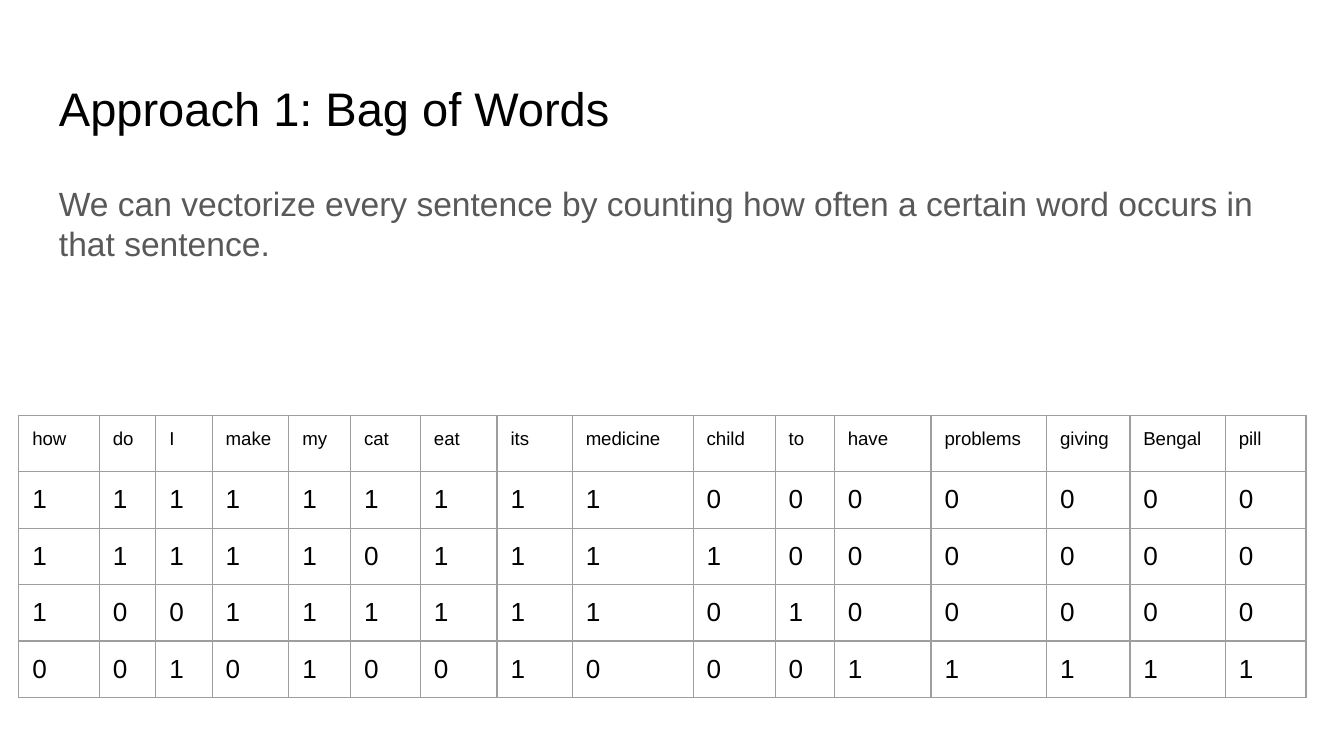
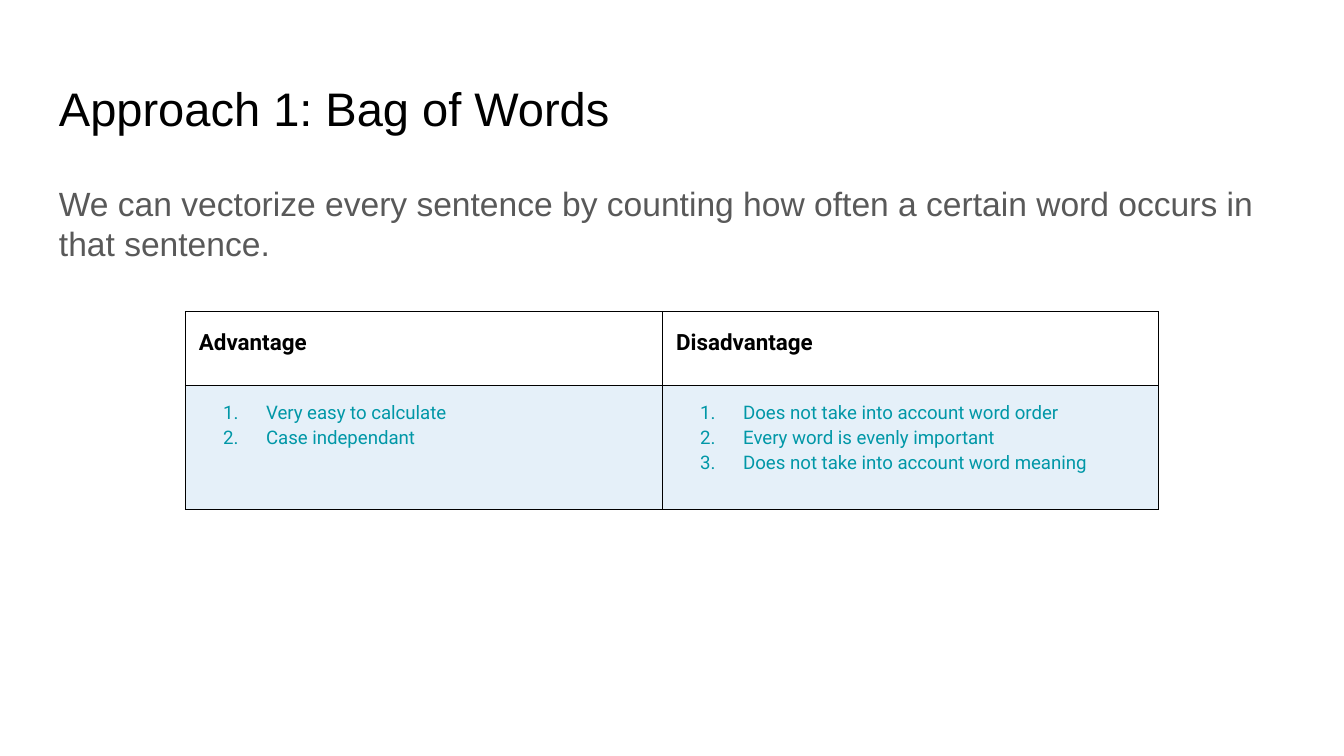
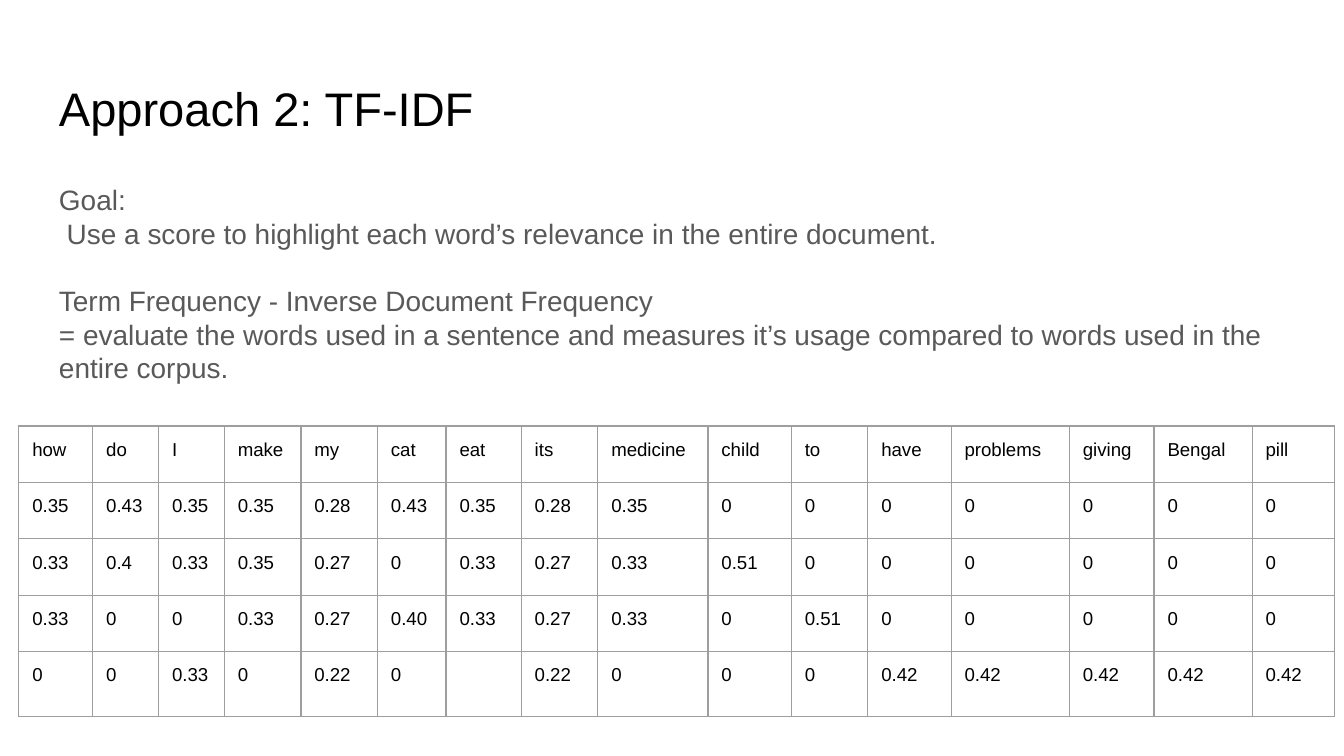
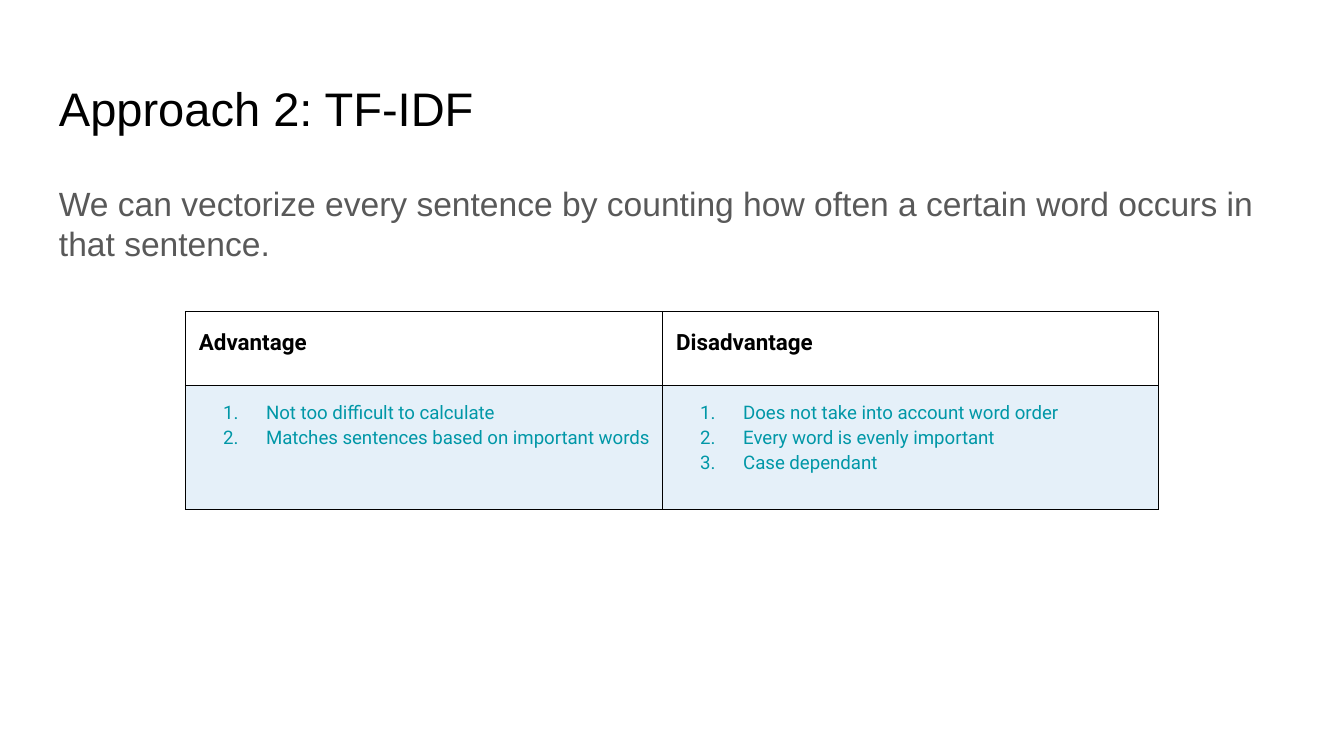
import pptx
import pptx.util
import pptx.dml.color
import pptx.enum.text
import pptx.oxml
import pptx.oxml.ns

Inches, Pt = pptx.util.Inches, pptx.util.Pt
ANCHOR = pptx.enum.text.MSO_ANCHOR

WIDE = 10
HIGH = WIDE * 9 / 16
EDGE = 0.34
PAD = 0.1
COLORS = {"ink": "000000", "body": "595959", "grid": "9E9E9E",
          "list": "0097A7", "panel": "E5F0F9"}

BAG = "Approach 1: Bag of Words"
SCORE = "Approach 2: TF-IDF"
COUNT = ["We can vectorize every sentence by counting how often "
         "a certain word occurs in that sentence."]
GOAL = ["Goal:",
        " Use a score to highlight each word’s relevance in the entire document.",
        "Term Frequency - Inverse Document Frequency",
        "= evaluate the words used in a sentence and measures it’s usage "
        "compared to words used in the entire corpus."]
WORDS = ("how,do,I,make,my,cat,eat,its,medicine,child,to,have,"
         "problems,giving,Bengal,pill")

SLIDES = [
    {"title": BAG, "body": COUNT, "size": 18,
     "words": {
         "top": 3.09, "size": 14, "heights": [0.42] * 5,
         "cols": [0.6, 0.42, 0.42, 0.57, 0.46, 0.52, 0.57, 0.56,
                  0.9, 0.61, 0.44, 0.72, 0.86, 0.62, 0.71, 0.6],
         "rows": ["1,1,1,1,1,1,1,1,1,0,0,0,0,0,0,0",
                  "1,1,1,1,1,0,1,1,1,1,0,0,0,0,0,0",
                  "1,0,0,1,1,1,1,1,1,0,1,0,0,0,0,0",
                  "0,0,1,0,1,0,0,1,0,0,0,1,1,1,1,1"]}},
    {"title": BAG, "body": COUNT, "size": 18,
     "views": [["Very easy to calculate", "Case independant"],
               ["Does not take into account word order",
                "Every word is evenly important",
                "Does not take into account word meaning"]]},
    {"title": SCORE, "body": GOAL, "size": 15, "gap": 2,
     "words": {
         "top": 3.17, "size": 10, "heights": [0.42] * 4 + [0.48],
         "cols": [0.55, 0.49, 0.49, 0.57, 0.57, 0.51, 0.56, 0.57,
                  0.82, 0.62, 0.57, 0.62, 0.88, 0.63, 0.73, 0.61],
         "rows": ["0.35,0.43,0.35,0.35,0.28,0.43,0.35,0.28,0.35,0,0,0,0,0,0,0",
                  "0.33,0.4,0.33,0.35,0.27,0,0.33,0.27,0.33,0.51,0,0,0,0,0,0",
                  "0.33,0,0,0.33,0.27,0.40,0.33,0.27,0.33,0,0.51,0,0,0,0,0",
                  "0,0,0.33,0,0.22,0,,0.22,0,0,0,0.42,0.42,0.42,0.42,0.42"]}},
    {"title": SCORE, "body": COUNT, "size": 18,
     "views": [["Not too difficult to calculate",
                "Matches sentences based on important words"],
               ["Does not take into account word order",
                "Every word is evenly important",
                "Case dependant"]]},
]


def rgb(name):
    return pptx.dml.color.RGBColor.from_string(COLORS[name])


def node(xml):
    """Parse one element, declaring its namespace at the first space."""
    return pptx.oxml.parse_xml(xml.replace(
        " ", f" {pptx.oxml.ns.nsdecls('a')} ", 1))


def style(para, size, color, font="Arial", bold=False):
    for run in para.runs:
        run.font.size, run.font.name, run.font.bold = Pt(size), font, bold
        run.font.color.rgb = rgb(color)


def add_text(slide, top, height, lines, size, color):
    box = slide.shapes.add_textbox(
        Inches(EDGE), Inches(top), Inches(WIDE - 2 * EDGE), Inches(height))
    frame = box.text_frame
    frame.word_wrap = True
    frame.margin_left = frame.margin_right = Inches(PAD)
    frame.margin_top = frame.margin_bottom = Inches(PAD)
    frame.text = "\n".join(lines)
    for para in frame.paragraphs:
        style(para, size, color)
    return frame


def add_grid(slide, left, top, cols, heights, line):
    """Add an unfilled table with padded cells and thin borders."""
    table = slide.shapes.add_table(
        len(heights), len(cols), Inches(left), Inches(top),
        Inches(sum(cols)), Inches(sum(heights))).table
    table.first_row = table.horz_banding = False
    for col, width in zip(table.columns, cols):
        col.width = Inches(width)
    for row, height in zip(table.rows, heights):
        row.height = Inches(height)
    for cell in table.iter_cells():
        cell.margin_left = cell.margin_top = Inches(PAD)
        cell.margin_right = cell.margin_bottom = Inches(0.08)
        cell.fill.background()
        props = cell._tc.get_or_add_tcPr()
        for spot, side in enumerate("LRTB"):
            props.insert(spot, node(
                f'<a:ln{side} w="9525"><a:solidFill><a:srgbClr val="'
                f'{COLORS[line]}"/></a:solidFill></a:ln{side}>'))
    return table


def add_words(slide, data):
    """Add the table of words, with one row of values per sentence."""
    table = add_grid(slide, 0.14, data["top"], data["cols"],
                     data["heights"], "grid")
    for r, row in enumerate([WORDS] + data["rows"]):
        for c, value in enumerate(row.split(",")):
            para = table.cell(r, c).text_frame.paragraphs[0]
            para.text = value
            style(para, data["size"] if r else 10, "ink")
            if not value:
                para._p.get_or_add_endParaRPr().set("sz", "1000")


def add_views(slide, views):
    """Add the table of numbered advantages and disadvantages."""
    table = add_grid(slide, 1.38, 2.32, [3.55, 3.69], [0.55, 0.92], "ink")
    for c, (head, items) in enumerate(zip(["Advantage", "Disadvantage"], views)):
        para = table.cell(0, c).text_frame.paragraphs[0]
        para.text, para.line_spacing, para.space_after = head, 1.15, Pt(16)
        style(para, 12, "ink", "Roboto", True)
        cell = table.cell(1, c)
        cell.fill.solid()
        cell.fill.fore_color.rgb = rgb("panel")
        cell.text_frame.text = "\n".join(items)
        for para in cell.text_frame.paragraphs:
            para.line_spacing = 1.15
            style(para, 10, "list", "Roboto")
            props = para._p.get_or_add_pPr()
            props.set("marL", str(Inches(0.5)))
            props.set("indent", str(Inches(-0.32)))
            props.append(node(f'<a:buClr ><a:srgbClr val="{COLORS["list"]}"/>'
                              '</a:buClr>'))
            props.append(node('<a:buAutoNum type="arabicPeriod"/>'))


def main():
    deck = pptx.Presentation()
    deck.slide_width, deck.slide_height = Inches(WIDE), Inches(HIGH)
    for data in SLIDES:
        slide = deck.slides.add_slide(deck.slide_layouts[6])
        title = add_text(slide, 0.49, 0.63, [data["title"]], 25.2, "ink")
        title.vertical_anchor = ANCHOR.MIDDLE
        body = add_text(slide, 1.26, 3.74, data["body"], data["size"], "body")
        if "gap" in data:
            body.paragraphs[data["gap"]].space_before = Pt(18)
        if "words" in data:
            add_words(slide, data["words"])
        else:
            add_views(slide, data["views"])
    deck.save("out.pptx")


if __name__ == "__main__":
    main()
